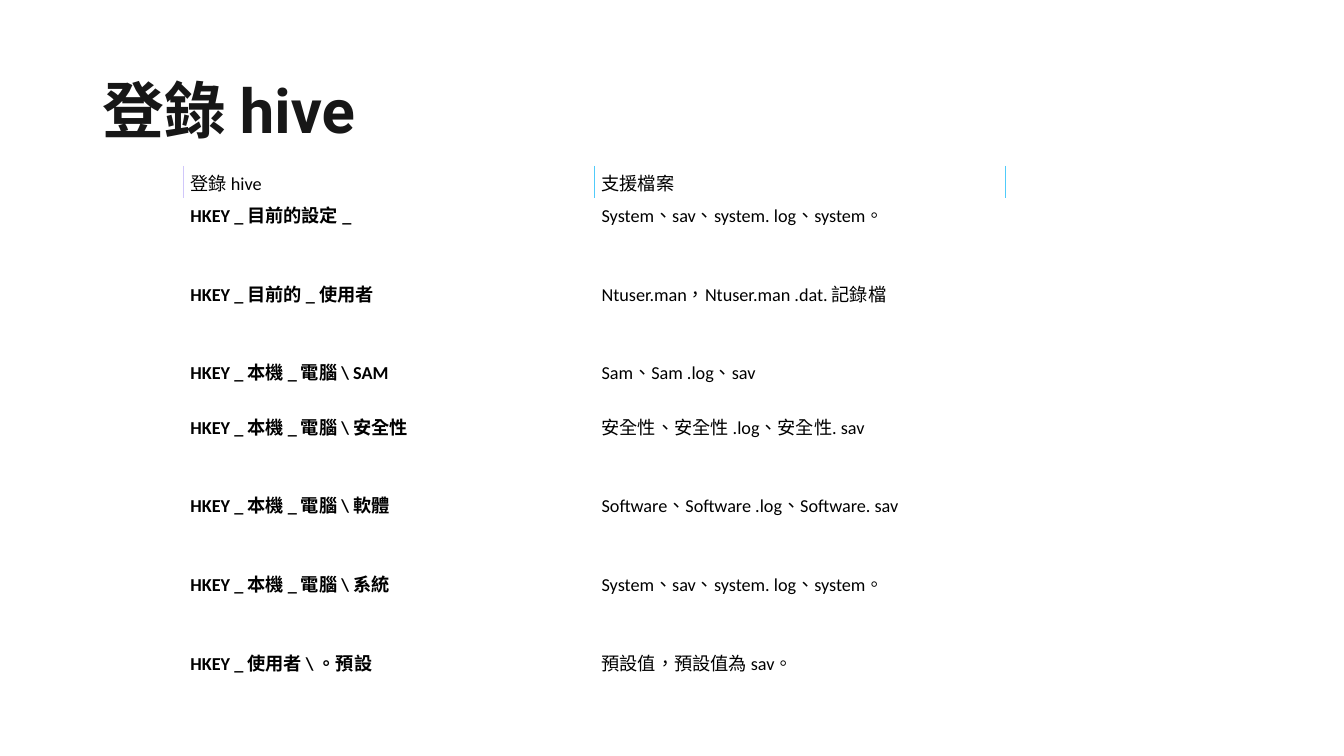
from lxml.etree import SubElement
from pptx import Presentation
from pptx.dml.color import RGBColor
from pptx.enum.text import MSO_ANCHOR
from pptx.oxml.ns import qn
from pptx.util import Inches, Pt

COLORS = {
    "title": "171717",
    "text": "000000",
    "paper": "FFFFFF",
    "header_left": "D0C7FA",
    "header_side": "50CBFA",
}
SLIDE_WIDTH, SLIDE_HEIGHT = Inches(13.33), Inches(7.5)
TITLE_BOX = (0.069, 0.0533, 0.8627, 0.1933)
TABLE_BOX = (0.1365, 0.22, 0.6118, 0.7067)
ROW_WEIGHTS = [0.32, 0.78, 0.78, 0.54, 0.78, 0.78, 0.78, 0.54]
HIVES = [
    ("登錄 hive", "支援檔案"),
    ("HKEY _ 目前的設定 _", "System、sav、system. log、system。"),
    ("HKEY _ 目前的 _ 使用者", "Ntuser.man，Ntuser.man .dat. 記錄檔"),
    ("HKEY _ 本機 _ 電腦 \\ SAM", "Sam、Sam .log、sav"),
    ("HKEY _ 本機 _ 電腦 \\ 安全性", "安全性、安全性 .log、安全性. sav"),
    ("HKEY _ 本機 _ 電腦 \\ 軟體", "Software、Software .log、Software. sav"),
    ("HKEY _ 本機 _ 電腦 \\ 系統", "System、sav、system. log、system。"),
    ("HKEY _ 使用者 \\ 。預設", "預設值，預設值為 sav。"),
]


def scale_box(box):
    """Turn shares of the slide into left, top, width and height."""
    sides = (SLIDE_WIDTH, SLIDE_HEIGHT) * 2
    return [round(share * side) for share, side in zip(box, sides)]


def write_text(frame, text, size, font="Calibri", color="text", bold=False, spacing=None):
    """Write one formatted paragraph into a text frame."""
    paragraph = frame.paragraphs[0]
    paragraph.line_spacing = spacing
    run = paragraph.add_run()
    run.text = text
    run.font.name = font
    run.font.size = Pt(size)
    run.font.bold = bold
    run.font.color.rgb = RGBColor.from_string(COLORS[color])
    run._r.get_or_add_rPr().set("lang", "zh-TW")


def set_borders(cell, **sides):
    """Draw the four cell borders, white unless a side names a colour."""
    properties = cell._tc.get_or_add_tcPr()
    for index, side in enumerate("LRTB"):
        width = Pt(1) if side in sides else Pt(0.75)
        line = SubElement(properties, qn(f"a:ln{side}"), w=str(int(width)))
        fill = SubElement(line, qn("a:solidFill"))
        SubElement(fill, qn("a:srgbClr"), val=COLORS[sides.get(side, "paper")])
        properties.insert(index, line)


def add_title(slide, box):
    """Place the slide title."""
    frame = slide.shapes.add_textbox(*scale_box(box)).text_frame
    frame.word_wrap = True
    frame.vertical_anchor = MSO_ANCHOR.MIDDLE
    write_text(frame, "登錄 hive", 44, font="Roboto", color="title", bold=True, spacing=0.9)


def add_hive_table(slide, box):
    """Place the table of hives and their supporting files."""
    left, top, width, height = scale_box(box)
    table = slide.shapes.add_table(len(HIVES), 2, left, top, width, height).table
    table.first_row = table.horz_banding = False
    for column in table.columns:
        column.width = width // 2
    for row, weight in zip(table.rows, ROW_WEIGHTS):
        row.height = round(height * weight / sum(ROW_WEIGHTS))
    for row_index, texts in enumerate(HIVES):
        for column_index, text in enumerate(texts):
            cell = table.cell(row_index, column_index)
            cell.margin_left = cell.margin_right = Inches(0.07)
            cell.margin_top = cell.margin_bottom = Inches(0.03)
            cell.fill.solid()
            cell.fill.fore_color.rgb = RGBColor.from_string(COLORS["paper"])
            write_text(cell.text_frame, text, 13, bold=row_index > 0 and column_index == 0)
            if row_index == 0:
                left_color = "header_side" if column_index else "header_left"
                set_borders(cell, L=left_color, R="header_side")
            else:
                set_borders(cell)


def build_presentation():
    """Build the slide and save the presentation."""
    presentation = Presentation()
    presentation.slide_width, presentation.slide_height = SLIDE_WIDTH, SLIDE_HEIGHT
    slide = presentation.slides.add_slide(presentation.slide_layouts[6])
    add_title(slide, TITLE_BOX)
    add_hive_table(slide, TABLE_BOX)
    presentation.save("out.pptx")


build_presentation()
